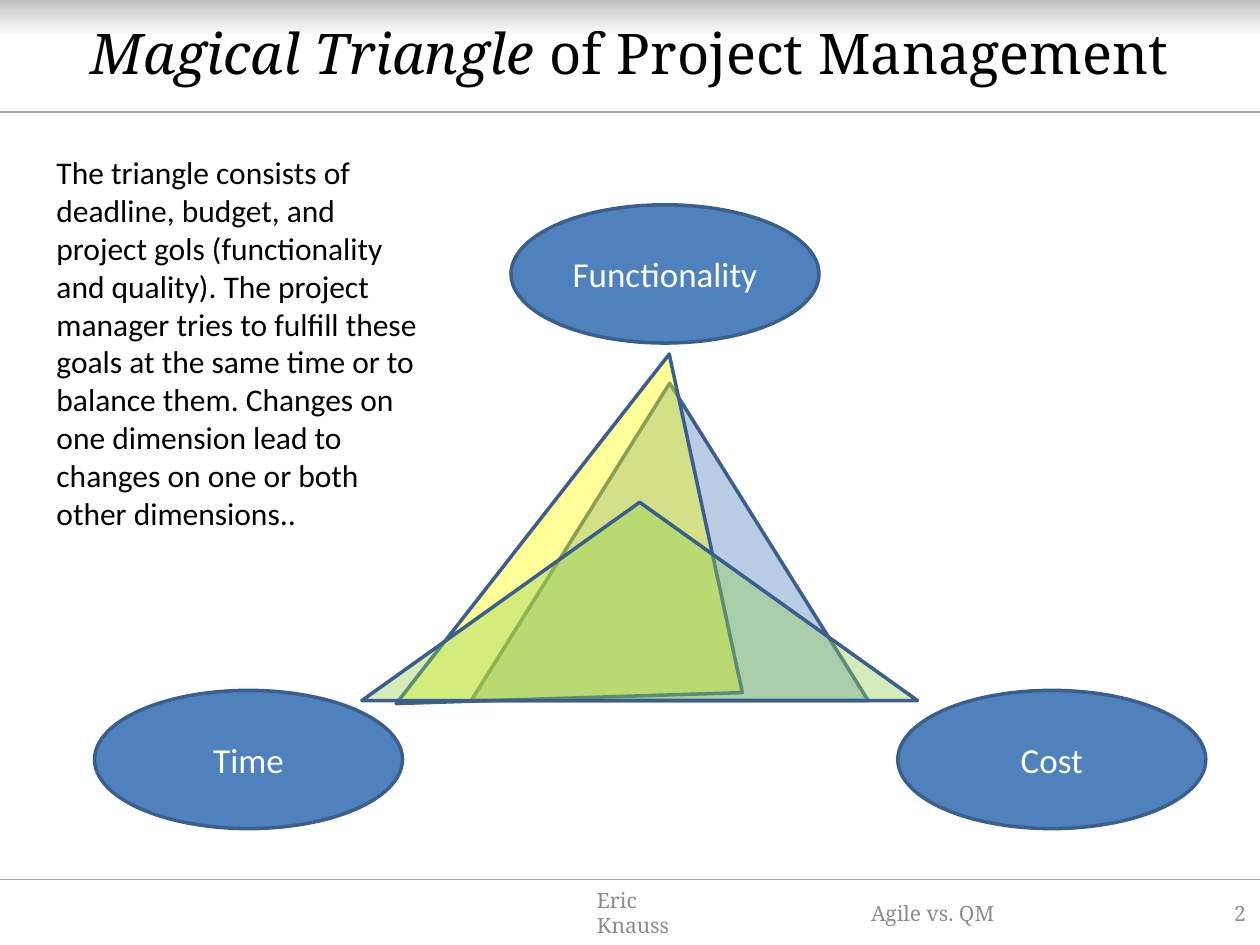
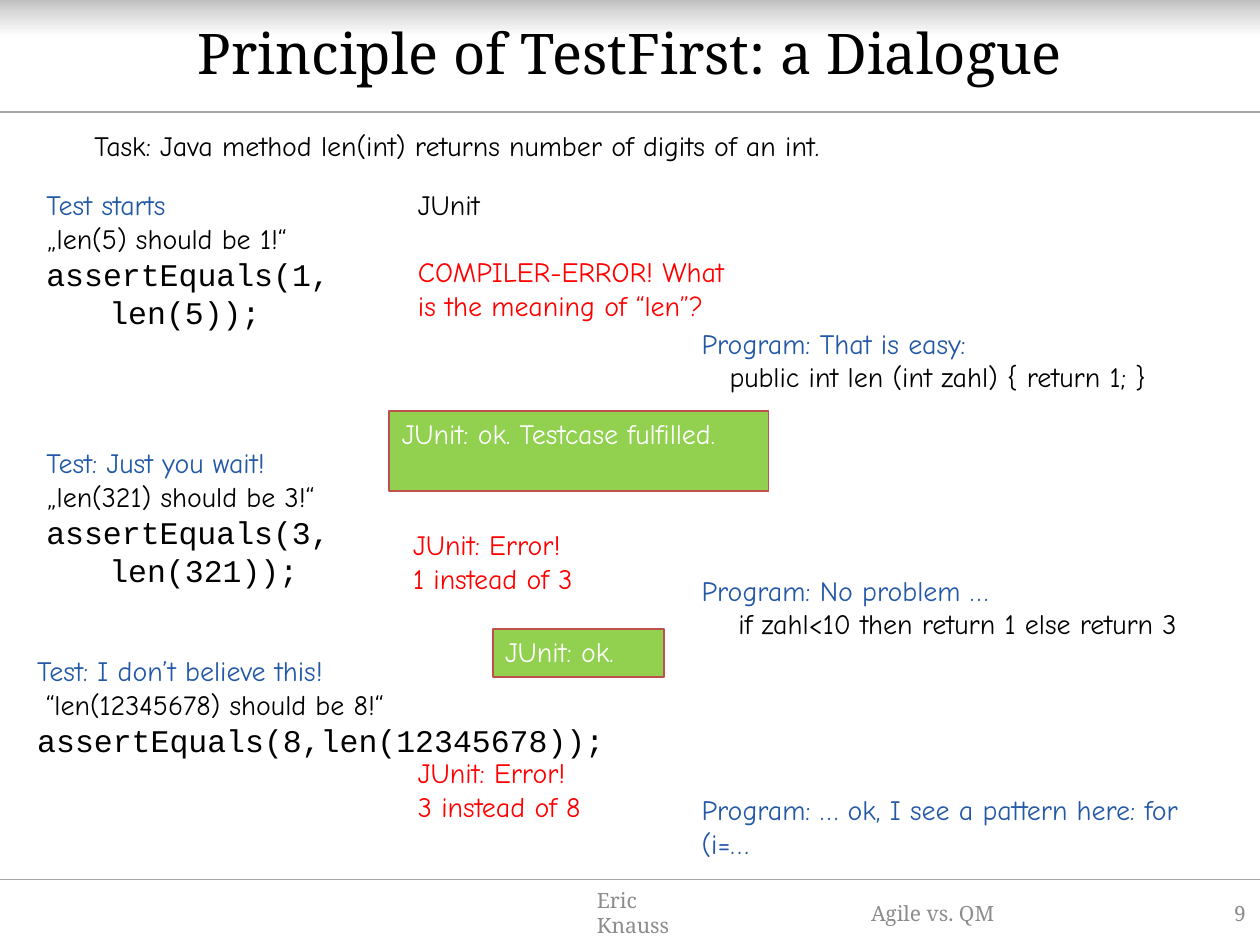
from collections import namedtuple
from copy import deepcopy

from pptx import Presentation
from pptx.dml.color import RGBColor
from pptx.enum.shapes import MSO_CONNECTOR, MSO_SHAPE
from pptx.enum.text import MSO_ANCHOR, PP_ALIGN
from pptx.oxml.ns import qn
from pptx.oxml.xmlchemy import OxmlElement
from pptx.util import Pt

RECTANGLE, OVAL = MSO_SHAPE.RECTANGLE, MSO_SHAPE.OVAL
TRIANGLE = MSO_SHAPE.ISOSCELES_TRIANGLE
STRAIGHT = MSO_CONNECTOR.STRAIGHT
TOP, MIDDLE = MSO_ANCHOR.TOP, MSO_ANCHOR.MIDDLE
LEFT, CENTER, RIGHT = PP_ALIGN.LEFT, PP_ALIGN.CENTER, PP_ALIGN.RIGHT

BLACK = RGBColor(0x00, 0x00, 0x00)
WHITE = RGBColor(0xFF, 0xFF, 0xFF)
BAND_GREY = RGBColor(0xBF, 0xBF, 0xBF)
BAND_LIGHT = RGBColor(0xD9, 0xD9, 0xD9)
RULE_GREY = RGBColor(0xA6, 0xA6, 0xA6)
FOOTER_GREY = RGBColor(0x8C, 0x8C, 0x8C)
BLUE = RGBColor(0x4F, 0x81, 0xBD)
OUTLINE_BLUE = RGBColor(0x3A, 0x5F, 0x8C)
SPEAKER_BLUE = RGBColor(0x23, 0x58, 0xA7)
YELLOW = RGBColor(0xFF, 0xFF, 0x00)
GREEN = RGBColor(0x92, 0xD0, 0x50)
RED = RGBColor(0xFF, 0x00, 0x00)
OK_BORDER = RGBColor(0xC0, 0x50, 0x4D)

SLIDE_WIDTH, SLIDE_HEIGHT = 720, 540
GOAL_SIZE = (176, 79)
TEST_LEFT, JUNIT_LEFT, PROGRAM_LEFT = 19.4, 231.8, 393.8

Style = namedtuple("Style", "font size color")
TITLE = Style("Noto Serif", 32, BLACK)
FOOTER = Style("Noto Serif", 12, FOOTER_GREY)
BODY = Style("Calibri", 18, BLACK)
GOAL = Style("Calibri", 20, WHITE)
SPEAKER = Style("Comic Neue", 16, SPEAKER_BLUE)
SPEECH = SPEAKER._replace(color=BLACK)
ERROR = SPEAKER._replace(color=RED)
SUCCESS = SPEAKER._replace(color=WHITE)
CODE = Style("Courier New", 18, BLACK)

# One paragraph of text; indent and space before it are in points.
Para = namedtuple("Para", "text style indent before", defaults=(0, 0))


def write(frame, paras, align=LEFT, anchor=TOP):
    """Fill a text frame with styled paragraphs."""
    frame.word_wrap = True
    frame.vertical_anchor = anchor
    for index, para in enumerate(paras):
        line = frame.paragraphs[0] if index == 0 else frame.add_paragraph()
        line.text = para.text
        line.alignment = align
        line.font.name = para.style.font
        line.font.size = Pt(para.style.size)
        line.font.color.rgb = para.style.color
        if para.before:
            line.space_before = Pt(para.before)
        if para.indent:
            properties = line._p.get_or_add_pPr()
            properties.set("marL", str(Pt(para.indent)))
            properties.set("indent", "0")


def add_text(slide, box, paras, align=LEFT, anchor=TOP):
    """Add a text box at (left, top, width, height) and return its frame."""
    frame = slide.shapes.add_textbox(*map(Pt, box)).text_frame
    write(frame, paras, align, anchor)
    return frame


def add_shape(slide, kind, box, fill, outline, weight, alpha=None):
    """Add a filled, outlined shape, see-through when alpha (percent) is given."""
    shape = slide.shapes.add_shape(kind, *map(Pt, box))
    shape.shadow.inherit = False
    shape.fill.solid()
    shape.fill.fore_color.rgb = fill
    shape.line.color.rgb = outline
    shape.line.width = Pt(weight)
    if alpha is not None:
        opacity = OxmlElement("a:alpha")
        opacity.set("val", str(alpha * 1000))
        shape._element.spPr.find(qn("a:solidFill"))[0].append(opacity)
    return shape


def add_band(slide):
    """Add the grey band that fades out below the top edge."""
    band = slide.shapes.add_shape(RECTANGLE, 0, 0, Pt(SLIDE_WIDTH), Pt(21))
    band.shadow.inherit = False
    band.line.fill.background()
    band.fill.gradient()
    band.fill.gradient_angle = 270
    stops = band._element.spPr.find(".//" + qn("a:gsLst"))
    stops.insert(1, deepcopy(stops[0]))
    shades = [(0, BAND_GREY), (0.34, BAND_LIGHT), (1, WHITE)]
    for stop, (position, color) in zip(band.fill.gradient_stops, shades):
        stop.position = position
        stop.color.rgb = color


def add_rule(slide, y):
    """Add a thin grey line across the slide."""
    rule = slide.shapes.add_connector(STRAIGHT, 0, Pt(y), Pt(SLIDE_WIDTH), Pt(y))
    rule.line.color.rgb = RULE_GREY
    rule.line.width = Pt(0.75)
    rule._element.spPr.append(OxmlElement("a:effectLst"))


def add_page(deck, title, number, emphasis=""):
    """Add a slide with band, rules, title (italic emphasis first) and footer."""
    slide = deck.slides.add_slide(deck.slide_layouts[6])
    add_band(slide)
    for y in (502.6, 64):
        add_rule(slide, y)
    heading = add_text(slide, (36, 2, 648, 55.5), [Para(emphasis, TITLE)],
                       CENTER, MIDDLE).paragraphs[0]
    for run in heading.runs:
        run.font.italic = True
    heading.add_run().text = title
    footers = [("Eric Knauss", 334, 79, LEFT), ("Agile vs. QM", 419, 228, CENTER),
               (str(number), 653, 66, RIGHT)]
    for text, left, width, align in footers:
        add_text(slide, (left, 507, width, 29), [Para(text, FOOTER)], align, MIDDLE)
    return slide


def add_goal(slide, name, left, top):
    """Add an ellipse naming one corner of the triangle."""
    goal = add_shape(slide, OVAL, (left, top, *GOAL_SIZE), BLUE, OUTLINE_BLUE, 2)
    write(goal.text_frame, [Para(name, GOAL)], CENTER, MIDDLE)


def add_verdict(slide, text, box):
    """Add a green box with a passed test."""
    verdict = add_shape(slide, RECTANGLE, box, GREEN, OK_BORDER, 1)
    write(verdict.text_frame, [Para(text, SUCCESS)])


def build_triangle(deck):
    """Build the slide on the triangle of project goals."""
    slide = add_page(deck, "of Project Management", 2, "Magical Triangle ")
    add_goal(slide, "Functionality", 292, 117)
    add_goal(slide, "Time", 54, 394.5)
    add_goal(slide, "Cost", 513, 394.5)
    balances = [((269.3, 219, 226.8, 181.3), BLUE, 0),
                ((237.6, 273, 253.4, 152), YELLOW, 128),
                ((206.8, 287, 317.5, 113.3), GREEN, 0)]
    for box, color, turn in balances:
        balance = add_shape(slide, TRIANGLE, box, color, OUTLINE_BLUE, 2, alpha=40)
        balance.rotation = turn
    explanation = (
        "The triangle consists of deadline, budget, and project gols "
        "(functionality and quality). The project manager tries to fulfill "
        "these goals at the same time or to balance them. Changes on one "
        "dimension lead to changes on one or both other dimensions..")
    add_text(slide, (25.2, 84.2, 227, 225.4), [Para(explanation, BODY)])


def build_dialogue(deck):
    """Build the slide with the dialogue of test, JUnit and program."""
    slide = add_page(deck, "Principle of TestFirst: a Dialogue", 9)
    task = "Task: Java method len(int) returns number of digits of an int."
    add_text(slide, (46.8, 70, 631, 26.6), [Para(task, SPEECH)])

    tests = [
        ((TEST_LEFT, 103.7, 209.5, 90),
         [Para("Test starts", SPEAKER), Para("„len(5) should be 1!“", SPEECH),
          Para("assertEquals(1,", CODE), Para("len(5));", CODE, indent=36)]),
        ((TEST_LEFT, 251.3, 232.6, 111.6),
         [Para("Test: Just you wait!", SPEAKER),
          Para("„len(321) should be 3!“", SPEECH),
          Para("assertEquals(3,", CODE), Para("len(321));", CODE, indent=36)]),
        ((14.2, 370, 443.5, 67.7),
         [Para("Test: I don’t believe this!", SPEAKER),
          Para("“len(12345678) should be 8!“", SPEECH, indent=5),
          Para("assertEquals(8,len(12345678));", CODE)]),
    ]
    errors = [
        ((JUNIT_LEFT, 103.7, 198.7, 104.4),
         [Para("JUnit", SPEECH),
          Para("COMPILER-ERROR! What is the meaning of “len”?", ERROR, before=19.2)]),
        ((229, 298, 204.5, 46),
         [Para("JUnit: Error!", ERROR), Para("1 instead of 3", ERROR)]),
        ((JUNIT_LEFT, 428.4, 198.7, 46),
         [Para("JUnit: Error!", ERROR), Para("3 instead of 8", ERROR)]),
    ]
    programs = [
        ((PROGRAM_LEFT, 182.9, 306, 46),
         [Para("Program: That is easy:", SPEAKER),
          Para("public int len (int zahl) { return 1; }", SPEECH, indent=16)]),
        ((PROGRAM_LEFT, 324, 326, 46),
         [Para("Program: No problem …", SPEAKER),
          Para("if zahl<10 then return 1 else return 3", SPEECH, indent=21)]),
        ((PROGRAM_LEFT, 449.3, 326, 46),
         [Para("Program: … ok, I see a pattern here: for\v(i=…", SPEAKER)]),
    ]
    for box, paras in tests + errors + programs:
        add_text(slide, box, paras)

    add_verdict(slide, "JUnit: ok. Testcase fulfilled.", (222.5, 234.7, 216.7, 46))
    add_verdict(slide, "JUnit: ok.", (281.5, 359.3, 98, 27.4))


def main():
    """Build and save the deck."""
    deck = Presentation()
    deck.slide_width, deck.slide_height = Pt(SLIDE_WIDTH), Pt(SLIDE_HEIGHT)
    build_triangle(deck)
    build_dialogue(deck)
    deck.save("out.pptx")


main()
